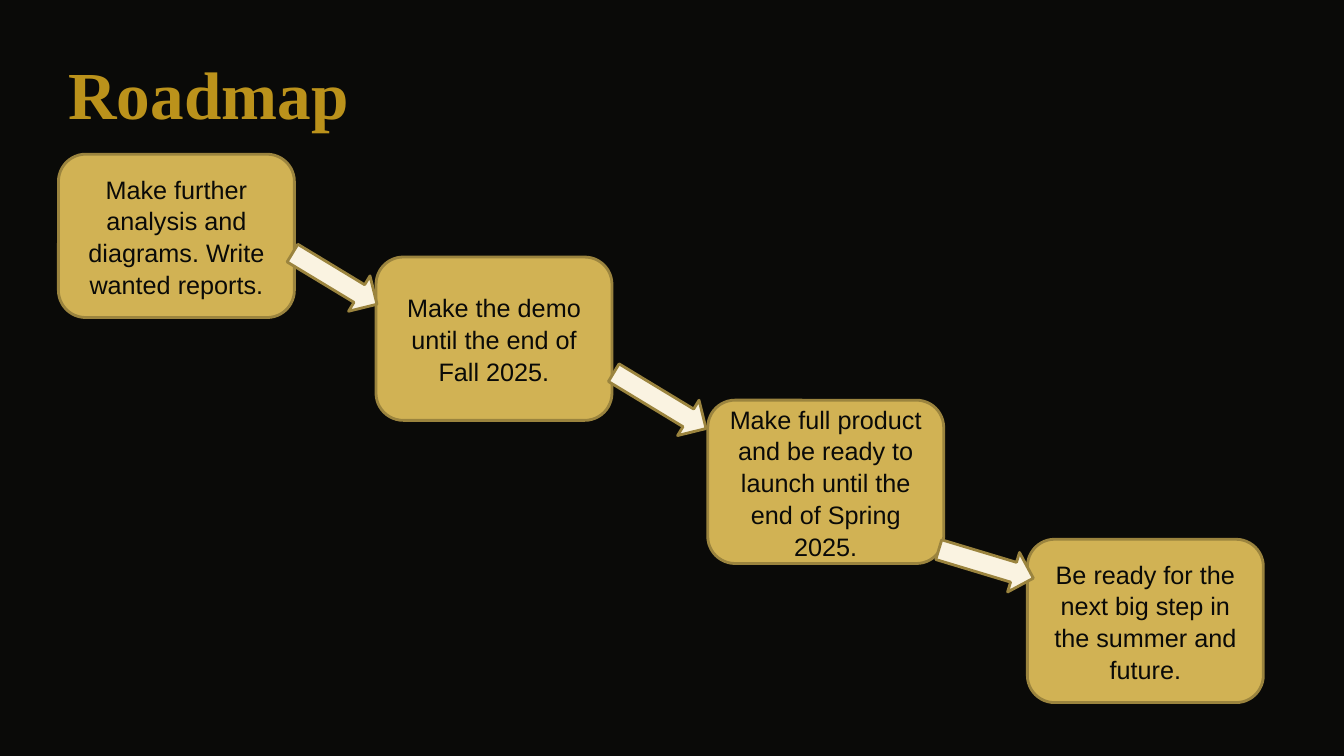
from pptx import Presentation
from pptx.dml.color import RGBColor
from pptx.enum.shapes import MSO_SHAPE
from pptx.enum.text import MSO_ANCHOR, PP_ALIGN
from pptx.util import Inches, Pt

COLORS = {
    "night": "0A0A08",
    "title": "BB921B",
    "gold": "D1B254",
    "edge": "9B843E",
    "cream": "FAF3E1",
}
STEP_W, STEP_H = 2.34, 1.62
STEPS = [
    (0.58, 1.53, "Make further analysis and diagrams. Write wanted reports."),
    (3.73, 2.55, "Make the demo until the end of Fall 2025."),
    (7.02, 3.97, "Make full product and be ready to launch until the end of Spring 2025."),
    (10.19, 5.35, "Be ready for the next big step in the summer and future."),
]
ARROW_H = 0.41
ARROWS = [  # left, top, width, angle
    (2.83, 2.56, 0.98, 31.2),
    (6.01, 3.77, 1.07, 31.2),
    (9.29, 5.39, 0.98, 16.8),
]


def color(name):
    return RGBColor.from_string(COLORS[name])


def add_run(para, text, font, size, tint, bold=False):
    run = para.add_run()
    run.text = text
    run.font.name = font
    run.font.size = Pt(size)
    run.font.bold = bold
    run.font.color.rgb = color(tint)


def add_form(slide, kind, box, fill):
    """Add a flat preset shape with the gold edge."""
    form = slide.shapes.add_shape(kind, *map(Inches, box))
    form.shadow.inherit = False
    form.fill.solid()
    form.fill.fore_color.rgb = color(fill)
    form.line.color.rgb = color("edge")
    form.line.width = Pt(2)
    return form


def add_title(slide, box, text):
    frame = slide.shapes.add_textbox(*map(Inches, box)).text_frame
    frame.word_wrap = True
    frame.vertical_anchor = MSO_ANCHOR.MIDDLE
    frame.margin_top = frame.margin_bottom = Inches(0.1)
    frame.margin_left = frame.margin_right = Inches(0.1)
    add_run(frame.paragraphs[0], text, "Times New Roman", 48, "title", True)


def add_step(slide, box, text):
    frame = add_form(slide, MSO_SHAPE.ROUNDED_RECTANGLE, box, "gold").text_frame
    frame.word_wrap = True
    frame.vertical_anchor = MSO_ANCHOR.MIDDLE
    para = frame.paragraphs[0]
    para.alignment = PP_ALIGN.CENTER
    para.line_spacing = 1.05
    add_run(para, text, "Arial", 18, "night")


def add_arrow(slide, box, angle):
    arrow = add_form(slide, MSO_SHAPE.RIGHT_ARROW, box, "cream")
    arrow.rotation = angle


def add_roadmap(deck):
    slide = deck.slides.add_slide(deck.slide_layouts[6])
    slide.background.fill.solid()
    slide.background.fill.fore_color.rgb = color("night")
    add_title(slide, (0.58, 0.43, 12.2, 0.98), "Roadmap")
    for left, top, text in STEPS:
        add_step(slide, (left, top, STEP_W, STEP_H), text)
    for left, top, width, angle in ARROWS:
        add_arrow(slide, (left, top, width, ARROW_H), angle)


def main():
    deck = Presentation()
    deck.slide_width = Inches(13.33)
    deck.slide_height = Inches(7.5)
    add_roadmap(deck)
    deck.save("out.pptx")


if __name__ == "__main__":
    main()
